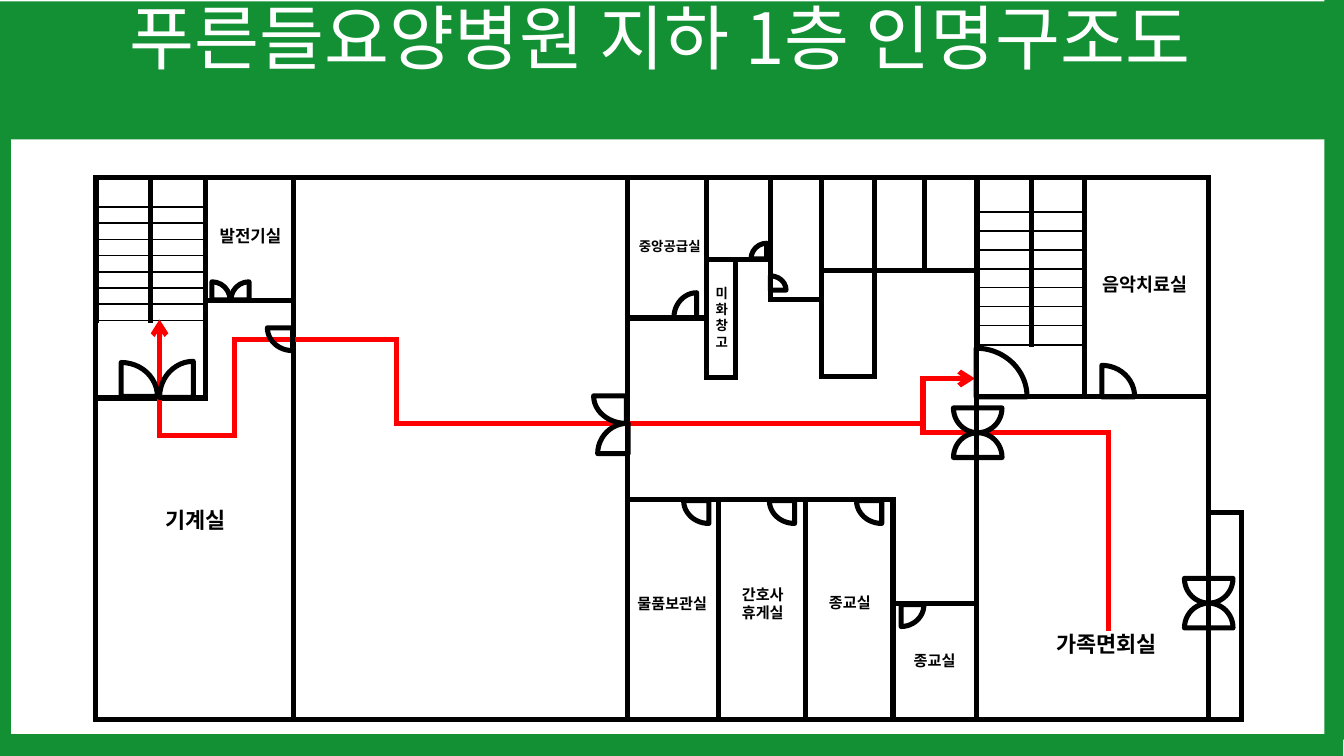
"""Draws the escape route plan of a hospital basement."""
from itertools import pairwise

from lxml import etree
from pptx import Presentation
from pptx import util as u
from pptx.dml.color import RGBColor
from pptx.enum import shapes, text
from pptx.oxml.ns import qn

GREEN = RGBColor(0x13, 0x90, 0x34)
WHITE = RGBColor(0xFF, 0xFF, 0xFF)
BLACK = RGBColor(0, 0, 0)
RED = RGBColor(0xFF, 0, 0)
FONT = "Noto Sans CJK KR"
SLIDE = (0, 0, 11.11, 6.25)
PLAN = (0, 1, 11.11, 5.25)
TURNS = {"bottom right": 0, "bottom left": 90, "top left": 180, "top right": 270}

OUTER_WALLS = [
    (0.79, 0.47, 9.99, 0.47), (0.79, 4.95, 10.26, 4.95), (0.79, 0.47, 0.79, 4.95),
    (9.99, 0.47, 9.99, 4.95), (9.99, 3.24, 10.26, 3.24), (10.26, 3.24, 10.26, 4.95),
]
INNER_WALLS = [
    (2.43, 0.47, 2.43, 4.95), (5.19, 0.47, 5.19, 4.95), (8.07, 0.47, 8.07, 4.95),
    (0.79, 2.29, 1.7, 2.29), (1.7, 1.15, 1.7, 2.29), (1.7, 1.49, 2.43, 1.49),
    (8.07, 2.28, 9.99, 2.28), (8.97, 1.63, 8.97, 2.28),
    (5.19, 1.63, 5.84, 1.63), (5.84, 0.47, 5.84, 2.12), (5.84, 2.12, 6.08, 2.12),
    (6.08, 1.15, 6.08, 2.12), (5.84, 1.15, 6.37, 1.15), (6.37, 0.47, 6.37, 1.48),
    (6.37, 1.48, 6.79, 1.48), (6.79, 0.47, 6.79, 2.11), (6.79, 2.11, 7.23, 2.11),
    (7.23, 0.47, 7.23, 2.11), (6.79, 1.24, 8.07, 1.24), (7.64, 0.47, 7.64, 1.24),
    (5.19, 3.13, 7.37, 3.13), (7.38, 3.99, 8.07, 3.99),
] + [(x, 3.13, x, 4.91) for x in (5.94, 6.66, 7.38)]
STAIRS = [(0.8, 0.47, 0.9, 1.18), (8.08, 0.47, 0.89, 1.38)]
ROUTES = [
    [(9.16, 4.2), (9.16, 2.58), (7.63, 2.58), (7.63, 2.13), (8.06, 2.13)],
    [(7.63, 2.5), (3.28, 2.5), (3.28, 1.81), (1.94, 1.81), (1.94, 2.6),
     (1.32, 2.6), (1.32, 1.64)],
]
DOORS = [
    (1, 2, 0.3, 0.28, "bottom left"), (1.32, 1.99, 0.28, 0.3, "bottom right"),
    (1.75, 1.33, 0.15, 0.15, "bottom left"), (1.91, 1.33, 0.15, 0.15, "bottom right"),
    (2.21, 1.71, 0.21, 0.19, "top right"),
    (4.91, 2.27, 0.27, 0.23, "top right"), (4.94, 2.5, 0.25, 0.25, "bottom right"),
    (5.57, 1.42, 0.19, 0.21, "bottom right"), (6.21, 1.01, 0.13, 0.13, "bottom right"),
    (6.37, 1.28, 0.13, 0.12, "bottom left"), (8.07, 1.88, 0.42, 0.4, "bottom left"),
    (9.11, 2.02, 0.27, 0.26, "bottom left"), (7.45, 4, 0.19, 0.18, "top left"),
] + [(x, 3.14, 0.21, 0.19, "top right") for x in (5.65, 6.36, 7.08)]
SWING_DOORS = [(9.99, 3.99), (8.08, 2.58)]
ROOMS = [
    (1.19, 3.14, 0.86, 0.32, 13, "기계실"),
    (1.64, 0.82, 0.86, 0.27, 10, "발전기실"),
    (4.9, 3.87, 1.31, 0.25, 9, "물품보관실"),
    (5.65, 3.79, 1.31, 0.4, 9, "간호사", "휴게실"),
    (6.37, 3.86, 1.31, 0.25, 9, "종교실"),
    (7.07, 4.34, 1.31, 0.25, 9, "종교실"),
    (8.35, 4.17, 1.6, 0.32, 13, "가족면회실"),
    (8.67, 1.21, 1.6, 0.29, 11, "음악치료실"),
    (4.88, 0.92, 1.31, 0.24, 8, "중앙공급실"),
    (5.31, 1.31, 1.31, 0.64, 8, "미", "화", "창", "고"),
]


def cm(inches):
    """Turn inches into a length in centimetres."""
    return u.Cm(round(inches * 2.54, 2))


def apply_format(target, values):
    """Set every attribute in a dict of format values."""
    for name, value in values.items():
        setattr(target, name, value)


def write(shape, lines, size, color, bold=False):
    """Fill a shape with centred lines of text."""
    frame = shape.text_frame
    for index, line in enumerate(lines):
        para = frame.paragraphs[0] if index == 0 else frame.add_paragraph()
        para.alignment = text.PP_ALIGN.CENTER
        span = para.add_run()
        span.text = line
        apply_format(span.font, {"name": FONT, "size": u.Pt(size), "bold": bold})
        span.font.color.rgb = color
        etree.SubElement(span.font._element, qn("a:ea"), typeface=FONT)
    return frame


def add_line(page, box, ends, color=BLACK, width=3, arrow=False):
    """Draw a straight line between two points of the box."""
    left, top = box[:2]
    x1, y1, x2, y2 = ends
    line = page.shapes.add_connector(
        shapes.MSO_CONNECTOR.STRAIGHT,
        cm(left + x1), cm(top + y1), cm(left + x2), cm(top + y2))
    line.line.color.rgb = color
    line.line.width = u.Pt(width)
    outline = line.line._get_or_add_ln()
    if arrow:
        etree.SubElement(outline, qn("a:tailEnd"), type="arrow")
    elif width > 1:
        outline.set("cap", "sq")
    etree.SubElement(line._element.spPr, qn("a:effectLst"))


def add_outline(page, kind, x, y, w, h, turn):
    """Draw an unfilled black door shape."""
    shape = page.shapes.add_shape(kind, cm(x), cm(y), cm(w), cm(h))
    shape.shadow.inherit = False
    shape.fill.background()
    shape.line.color.rgb = BLACK
    shape.line.width = u.Pt(3)
    shape.rotation = turn
    return shape


def add_frame(page, box):
    """Draw the green border and the heading band."""
    left, top, width, height = box
    bands = [(-0.07, 0.01, width + 0.07, 1.14), (-0.07, 0.14, 0.16, height - 0.13),
             (width - 0.16, 0, 0.16, height - 0.13),
             (-0.06, height - 0.18, width + 0.05, 0.18)]
    for index, (x, y, w, h) in enumerate(bands):
        band = page.shapes.add_shape(
            shapes.MSO_SHAPE.RECTANGLE, cm(left + x), cm(top + y), cm(w), cm(h))
        band.shadow.inherit = False
        band.fill.solid()
        band.fill.fore_color.rgb = GREEN
        band.line.fill.background()
        if index == 0:
            frame = write(band, ["푸른들요양병원 지하 1층 인명구조도 "], 42, WHITE)
            apply_format(frame, {"word_wrap": True, "margin_top": cm(0.02),
                                 "vertical_anchor": text.MSO_ANCHOR.TOP})
            frame.paragraphs[0].line_spacing = 0.9


def add_stairs(page, box):
    """Draw two flights of stairs with evenly spaced treads."""
    width, height = box[2:]
    for x in (0, width / 2, width):
        add_line(page, box, (x, 0, x, height))
    first = 0.205 * height
    step = (height - first) / 7
    for y in [0] + [first + step * n for n in range(8)]:
        add_line(page, box, (0, y, width, y), width=1)


def add_routes(page, box):
    """Draw the red escape routes, each ending in an arrow."""
    for route in ROUTES:
        for start, end in pairwise(route):
            add_line(page, box, start + end, RED, arrow=end == route[-1])


def add_doors(page, box):
    """Draw the quarter-circle doors and the swing doors."""
    left, top = box[:2]
    for x, y, w, h, corner in DOORS:
        turn = TURNS[corner]
        wide, high = (h, w) if turn % 180 else (w, h)
        add_outline(page, shapes.MSO_SHAPE.PIE_WEDGE, left + x + (w - wide) / 2,
                    top + y + (h - high) / 2, wide, high, turn)
    for x, y in SWING_DOORS:
        for rise, turn in ((0.41, 0), (0, 180)):
            leaf = add_outline(page, shapes.MSO_SHAPE.PIE, left + x - 0.2,
                               top + y - rise, 0.4, 0.41, turn)
            leaf.adjustments[0] = 0
            leaf.adjustments[1] = 108


def add_rooms(page, box):
    """Write the room names."""
    left, top = box[:2]
    for x, y, w, h, size, *lines in ROOMS:
        label = page.shapes.add_textbox(cm(left + x), cm(top + y), cm(w), cm(h))
        frame = write(label, lines, size, BLACK, bold=True)
        apply_format(frame, {"word_wrap": True,
                             "auto_size": text.MSO_AUTO_SIZE.SHAPE_TO_FIT_TEXT})


def add_plan(page, box):
    """Draw the floor plan below the heading."""
    for ends in OUTER_WALLS + INNER_WALLS:
        add_line(page, box, ends)
    for x, y, w, h in STAIRS:
        add_stairs(page, (box[0] + x, box[1] + y, w, h))
    for add_part in (add_routes, add_doors, add_rooms):
        add_part(page, box)


def main():
    """Build and save the deck."""
    deck = Presentation()
    deck.slide_width, deck.slide_height = cm(SLIDE[2]), cm(SLIDE[3])
    page = deck.slides.add_slide(deck.slide_layouts[6])
    add_frame(page, SLIDE)
    add_plan(page, PLAN)
    deck.save("out.pptx")


if __name__ == "__main__":
    main()
